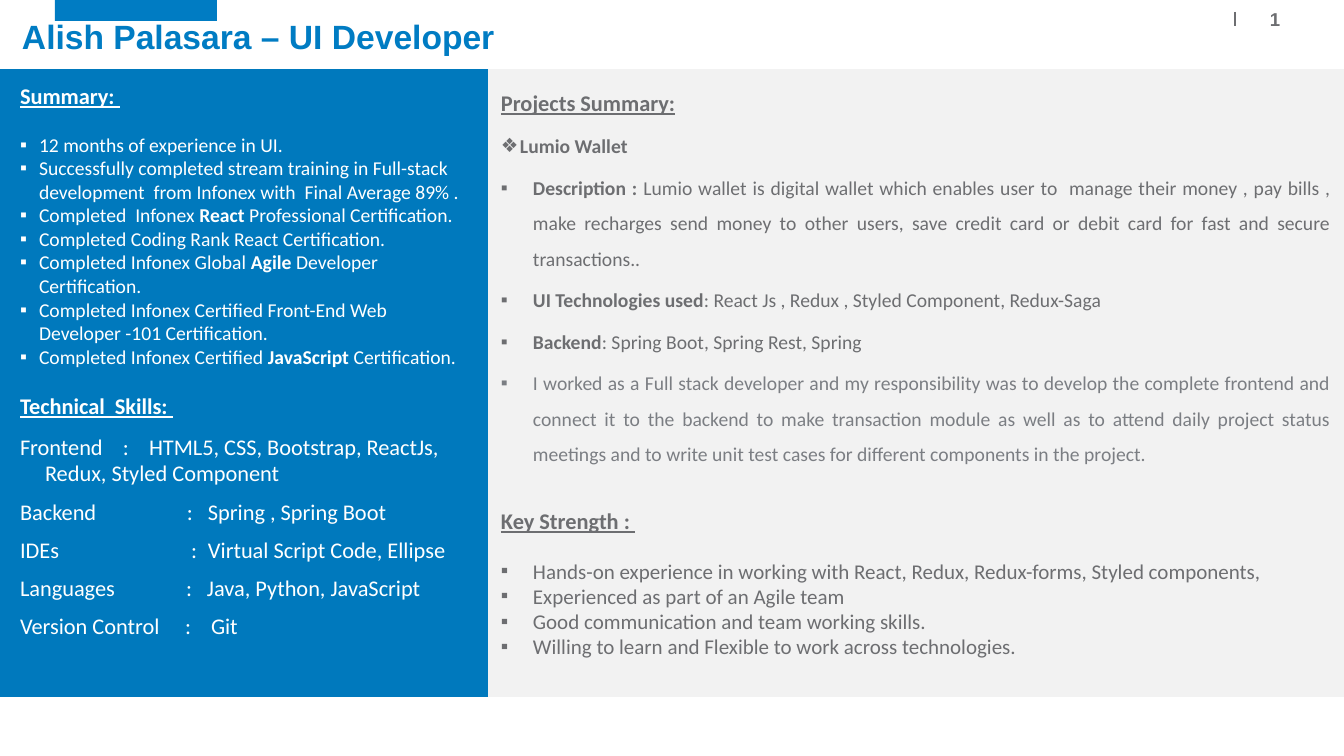
from lxml import etree
from pptx import Presentation
from pptx.dml.color import RGBColor
from pptx.enum.shapes import MSO_CONNECTOR, MSO_SHAPE
from pptx.enum.text import MSO_ANCHOR, PP_ALIGN
from pptx.oxml.ns import qn
from pptx.util import Pt

LEFT, CENTER, JUSTIFY = PP_ALIGN.LEFT, PP_ALIGN.CENTER, PP_ALIGN.JUSTIFY
TOP, MIDDLE, BOTTOM = MSO_ANCHOR.TOP, MSO_ANCHOR.MIDDLE, MSO_ANCHOR.BOTTOM
RECTANGLE, STRAIGHT = MSO_SHAPE.RECTANGLE, MSO_CONNECTOR.STRAIGHT

# Content: asterisks enclose bold words
TITLE = "Alish Palasara – UI Developer"
SUMMARY = [
    "12 months of experience in UI.",
    "Successfully completed stream training in Full-stack development  from Infonex with  Final Average 89% .",
    "Completed  Infonex *React* Professional Certification.",
    "Completed Coding Rank React Certification.",
    "Completed Infonex Global *Agile* Developer Certification.",
    "Completed Infonex Certified Front-End Web Developer -101 Certification.",
    "Completed Infonex Certified *JavaScript* Certification.",
]
# Skill, values, colon position and value position
SKILLS = [
    ("Frontend", "HTML5, CSS, Bootstrap, ReactJs,\v\tRedux, Styled Component", 103, 129),
    ("Backend", "Spring , Spring Boot", 167, 188),
    ("IDEs", "Virtual Script Code, Ellipse", 171, 188),
    ("Languages", "Java, Python, JavaScript", 166, 187),
    ("Version Control", "Git", 165, 191),
]
PROJECT = "Lumio Wallet"
PROJECT_FACTS = [
    "*Description : *Lumio wallet is digital wallet which enables user to  manage their money , pay bills , "
    "make recharges send money to other users, save credit card or debit card for fast and secure transactions..",
    "*UI Technologies used*: React Js , Redux , Styled Component, Redux-Saga",
    "*Backend*: Spring Boot, Spring Rest, Spring",
]
PROJECT_ROLE = (
    "I worked as a Full stack developer and my responsibility was to develop the complete frontend and "
    "connect it to the backend to make transaction module as well as to attend daily project status "
    "meetings and to write unit test cases for different components in the project."
)
STRENGTHS = [
    "Hands-on experience in working with React, Redux, Redux-forms, Styled components,",
    "Experienced as part of an Agile team",
    "Good communication and team working skills.",
    "Willing to learn and Flexible to work across technologies.",
]

# Sizes in px
PAGE_WIDTH, PAGE_HEIGHT = 1344, 756
PANEL_TOP, PANEL_HEIGHT, SPLIT = 69, 628, 488
WRAP_INDENT = 25
ACCENT, BLUE, PALE, GRAY, SOFT, WHITE = "007CC3", "0079BD", "F2F2F2", "6D6E71", "7B7E83", "FFFFFF"


def px(length):
    return round(length * 914400 / 100.8)


def color(value):
    return RGBColor.from_string(value)


def add_rectangle(page, x, y, width, height, fill):
    box = page.shapes.add_shape(RECTANGLE, px(x), px(y), px(width), px(height))
    box.shadow.inherit = False
    box.fill.solid()
    box.fill.fore_color.rgb = color(fill)
    box.line.fill.background()
    return box


def set_frame(frame, side, edge, anchor, wrap=True):
    frame.margin_left = frame.margin_right = px(side)
    frame.margin_top = frame.margin_bottom = px(edge)
    frame.vertical_anchor = anchor
    frame.word_wrap = wrap


def set_font(font, size, ink, bold=False, name="Calibri"):
    font.name, font.size, font.bold = name, Pt(size), bold
    font.color.rgb = color(ink)


def write(frame, text, size, ink, before=0, after=0, spacing=1.0, align=LEFT,
          bullet=None, indent=0, tabs=(), heading=False):
    para = frame.paragraphs[0] if not frame.text else frame.add_paragraph()
    para.alignment = align
    para.line_spacing = spacing
    para.space_before, para.space_after = Pt(before), Pt(after)
    settings = para._p.get_or_add_pPr()
    if bullet:
        settings.set("marL", str(px(indent)))
        settings.set("indent", str(-px(indent)))
        etree.SubElement(settings, qn("a:buFont"), typeface="Arial")
        etree.SubElement(settings, qn("a:buChar"), char=bullet)
    if tabs:
        stops = etree.SubElement(settings, qn("a:tabLst"))
        for stop in tabs:
            etree.SubElement(stops, qn("a:tab"), pos=str(px(stop)), algn="l")
    set_font(para.font, size, ink, heading)
    para.font.underline = heading
    for index, part in enumerate(text.split("*")):
        for row, line in enumerate(part.split("\v")):
            if row:
                para.add_line_break()
            if line:
                span = para.add_run()
                span.text = line
                if index % 2:
                    span.font.bold = True


def main():
    deck = Presentation()
    deck.slide_width, deck.slide_height = px(PAGE_WIDTH), px(PAGE_HEIGHT)
    page = deck.slides.add_slide(deck.slide_layouts[5])

    # Header
    add_rectangle(page, 55, 0, 162, 21, ACCENT)
    divider = page.shapes.add_connector(STRAIGHT, px(1235), px(12), px(1235), px(26))
    divider.line.color.rgb = color(GRAY)
    divider.line.width = Pt(1)
    etree.SubElement(divider._element.spPr, qn("a:effectLst"))

    title = page.shapes.title
    title.left, title.top, title.width, title.height = px(12), px(19), px(1198), px(43)
    title.text = TITLE
    set_frame(title.text_frame, 10, 5, BOTTOM)
    para = title.text_frame.paragraphs[0]
    para.alignment, para.line_spacing = LEFT, 0.9
    set_font(para.font, 24, ACCENT, True, "Arial")

    number = page.shapes.add_textbox(px(1268), px(6), px(14), px(26)).text_frame
    set_frame(number, 2, 2, MIDDLE, False)
    para = number.paragraphs[0]
    para.text, para.alignment = "1", CENTER
    set_font(para.font, 13.3, GRAY, True, "Arial")

    # Projects and strengths panel
    right = add_rectangle(page, SPLIT, PANEL_TOP, PAGE_WIDTH - SPLIT, PANEL_HEIGHT, PALE).text_frame
    set_frame(right, 13, 7, TOP)
    write(right, "Projects Summary:", 16, GRAY, spacing=1.5, heading=True)
    write(right, f"*{PROJECT}*", 14, GRAY, before=4.5, spacing=1.5, bullet="❖", indent=19)
    facts = [(fact, GRAY) for fact in PROJECT_FACTS] + [(PROJECT_ROLE, SOFT)]
    for fact, ink in facts:
        write(right, fact, 14, ink, before=4.5, spacing=1.5, align=JUSTIFY, bullet="▪", indent=32)
    write(right, "Key Strength : ", 16, GRAY, before=30, after=17, heading=True)
    for strength in STRENGTHS:
        write(right, strength, 15, GRAY, bullet="▪", indent=32)

    # Summary and skills panel
    left = add_rectangle(page, 0, PANEL_TOP, SPLIT, PANEL_HEIGHT, BLUE).text_frame
    set_frame(left, 20, 13, TOP)
    write(left, "Summary: ", 16, WHITE, after=17, heading=True)
    for item in SUMMARY:
        write(left, item, 14, WHITE, bullet="▪", indent=19)
    write(left, "Technical  Skills: ", 16, WHITE, before=17, after=2, heading=True)
    for skill, values, colon, value in SKILLS:
        write(left, f"{skill}\t:\t{values}", 16, WHITE, before=8, tabs=(WRAP_INDENT, colon, value))

    deck.save("out.pptx")


if __name__ == "__main__":
    main()
